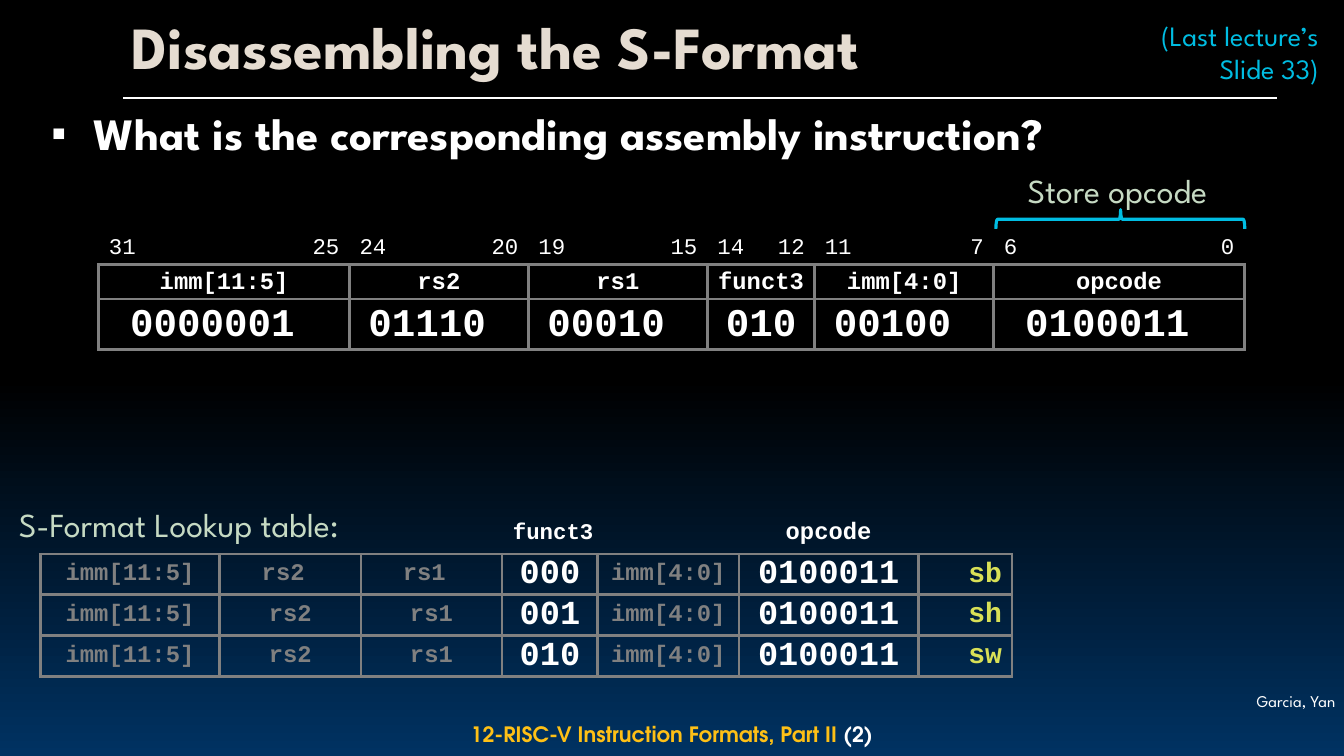
from lxml.etree import SubElement
from pptx import Presentation
from pptx.dml.color import RGBColor
from pptx.enum.shapes import MSO_CONNECTOR, MSO_SHAPE
from pptx.enum.text import MSO_ANCHOR, MSO_AUTO_SIZE, PP_ALIGN
from pptx.oxml.ns import qn
from pptx.util import Pt

SPARTAN = "League Spartan"
COURIER = "Courier New"
WHITE, GRAY, CYAN, SAGE, LIME = "FFFFFF", "808080", "00BDE2", "C6DAC3", "D9E056"
NO_TABLE_STYLE = "{2D5ABB26-0587-4C30-8999-92F81FD0307C}"
LEFT, CENTER, RIGHT = PP_ALIGN.LEFT, PP_ALIGN.CENTER, PP_ALIGN.RIGHT


def write(text_frame, text, size, color, font=SPARTAN, bold=False, align=LEFT, spacing=1.0):
    paragraph = text_frame.paragraphs[0]
    paragraph.text = text
    paragraph.alignment = align
    paragraph.line_spacing = spacing
    paragraph.space_before = Pt(0)
    run_font = paragraph.runs[0].font
    run_font.name = font
    run_font.size = Pt(size)
    run_font.bold = bold
    run_font.color.rgb = RGBColor.from_string(color)


def draw_borders(cell):
    properties = cell._tc.get_or_add_tcPr()
    for side in ("a:lnL", "a:lnR", "a:lnT", "a:lnB"):
        line = SubElement(properties, qn(side), w=str(Pt(2.25)))
        SubElement(SubElement(line, qn("a:solidFill")), qn("a:srgbClr"), val=GRAY)


presentation = Presentation()
presentation.slide_width = Pt(960)
presentation.slide_height = Pt(540)
slide = presentation.slides.add_slide(presentation.slide_layouts[1])

background = slide.background.fill
background.gradient()
background.gradient_angle = 270
for stop, position, color in zip(background.gradient_stops, (0.5, 1), ("000000", "003262")):
    stop.position = position
    stop.color.rgb = RGBColor.from_string(color)

# Title, rule and bullet
title = slide.shapes.title
title.left, title.top, title.width, title.height = Pt(87), Pt(6), Pt(827), Pt(60)
title.text_frame.vertical_anchor = MSO_ANCHOR.MIDDLE
title.text_frame.auto_size = MSO_AUTO_SIZE.NONE
write(title.text_frame, "Disassembling the S-Format", 42.7, "E5DCD1", bold=True, spacing=0.9)

rule = slide.shapes.add_connector(MSO_CONNECTOR.STRAIGHT, Pt(88), Pt(70), Pt(912), Pt(70))
rule.line.color.rgb = RGBColor.from_string(WHITE)
rule.line.width = Pt(1.5)
SubElement(rule._element.spPr, qn("a:effectLst"))

body = slide.placeholders[1]
body.left, body.top, body.width, body.height = Pt(23), Pt(72), Pt(892), Pt(85)
body.text_frame.auto_size = MSO_AUTO_SIZE.NONE
write(body.text_frame, "What is the corresponding assembly instruction?", 32, WHITE, bold=True)
bullet = body.text_frame.paragraphs[0]._p.get_or_add_pPr()
bullet.set("marL", str(Pt(36.7)))
bullet.set("indent", str(Pt(-30.2)))
SubElement(bullet, qn("a:buSzPct"), val="95000")
SubElement(bullet, qn("a:buChar"), char="▪")

# Instruction word: high bit, low bit, field name, value
fields = [
    (31, 25, "imm[11:5]", "0000001 "),
    (24, 20, "rs2", "01110 "),
    (19, 15, "rs1", "00010 "),
    (14, 12, "funct3", "010"),
    (11, 7, "imm[4:0]", "00100 "),
    (6, 0, "opcode", "0100011 "),
]
BIT = 25.58
field_widths = []
for high, low, name, value in fields:
    bits = high - low + 1
    field_widths.append([1.5, 1.5] if bits == 3 else [2] + [1] * (bits - 4) + [2])
column_widths = [width * BIT for widths in field_widths for width in widths]

# Lookup table: rows of (text, size, color, alignment); None leaves a cell empty
lookup_rows = [[None] * 5 + [("opcode", 17, WHITE, CENTER), None]]
for mnemonic, funct3, pad in (("sb", "000", " "), ("sh", "001", ""), ("sw", "010", "")):
    lookup_rows.append([
        ("imm[11:5]", 17, GRAY, CENTER),
        ("rs2" + pad, 17, GRAY, CENTER),
        ("rs1" + pad, 17, GRAY, CENTER),
        (funct3, 24, WHITE, CENTER),
        ("imm[4:0]", 17, GRAY, CENTER),
        ("0100011", 24, WHITE, CENTER),
        (mnemonic, 20, LIME, RIGHT),
    ])

tables = []
for left, top, widths, heights in (
    (70.6, 162.7, column_widths, (26.3, 24.5, 36.3)),
    (28.8, 369.4, (128.2, 100.8, 100.8, 68.4, 100.8, 128.2, 67), (26.4, 29.1, 29.1, 29.1)),
):
    frame = slide.shapes.add_table(
        len(heights), len(widths), Pt(left), Pt(top), Pt(sum(widths)), Pt(sum(heights)))
    table = frame.table
    table._tbl.tblPr.find(qn("a:tableStyleId")).text = NO_TABLE_STYLE
    table.first_row = table.horz_banding = False
    for column, width in zip(table.columns, widths):
        column.width = Pt(width)
    for row, height in zip(table.rows, heights):
        row.height = Pt(height)
    tables.append(table)
word_table, lookup_table = tables

first = 0
for (high, low, name, value), widths in zip(fields, field_widths):
    last = first + len(widths) - 1
    for column, bit, align in ((first, high, LEFT), (last, low, RIGHT)):
        cell = word_table.cell(0, column)
        cell.vertical_anchor = MSO_ANCHOR.BOTTOM
        write(cell.text_frame, str(bit), 16, WHITE, COURIER, align=align, spacing=0.9)
    for row, text, size in ((1, name, 17), (2, value, 28)):
        cell = word_table.cell(row, first)
        cell.merge(word_table.cell(row, last))
        write(cell.text_frame, text, size, WHITE, COURIER, True, CENTER, 0.9)
        draw_borders(cell)
    first = last + 1

for row, entries in enumerate(lookup_rows):
    for column, entry in enumerate(entries):
        cell = lookup_table.cell(row, column)
        if entry:
            text, size, color, align = entry
            write(cell.text_frame, text, size, color, COURIER, True, align, 0.8)
        if row:
            cell.vertical_anchor = MSO_ANCHOR.MIDDLE
            draw_borders(cell)

for table in tables:
    for cell in table.iter_cells():
        cell.fill.background()
        if not cell.text_frame.text:
            cell.margin_top = cell.margin_bottom = 0

# Brace over the opcode field
brace = slide.shapes.add_shape(MSO_SHAPE.LEFT_BRACE, Pt(793.4), Pt(67.7), Pt(13.7), Pt(177.8))
brace.rotation = 90
brace.adjustments[0] = 0.083
brace.adjustments[1] = 0.499
brace.shadow.inherit = False
brace.fill.background()
brace.line.color.rgb = RGBColor.from_string(CYAN)
brace.line.width = Pt(2.25)

# Labels: text, left, top, width, height, wrap, size, color, font, bold, alignment
labels = [
    ("(Last lecture’s Slide 33)", 813.6, 9.4, 135.4, 55.4, True, 20, CYAN, SPARTAN, False, RIGHT),
    ("S-Format Lookup table:", 6.5, 356.4, 247.7, 36, False, 24, SAGE, SPARTAN, False, LEFT),
    ("Store opcode", 697, 118.1, 202.3, 36, True, 24, SAGE, SPARTAN, False, CENTER),
    ("funct3", 359.3, 365.8, 72.7, 26.6, False, 16, WHITE, COURIER, True, LEFT),
    ("Garcia, Yan", 856.1, 491.8, 103.7, 18.7, True, 11.7, WHITE, SPARTAN, False, RIGHT),
    ("12-RISC-V Instruction Formats, Part II ", 176.4, 512.6, 607, 23, True, 15.1, "FEC016",
     "TeX Gyre Adventor", True, CENTER),
]
for text, left, top, width, height, wrap, size, color, font, bold, align in labels:
    box = slide.shapes.add_textbox(Pt(left), Pt(top), Pt(width), Pt(height))
    box.text_frame.word_wrap = wrap
    write(box.text_frame, text, size, color, font, bold, align)
    if text == "Garcia, Yan":
        box.text_frame.margin_left = box.text_frame.margin_right = Pt(5.8)
        box.text_frame.margin_top = box.text_frame.margin_bottom = Pt(2.2)

footer = box
footer.text_frame.vertical_anchor = MSO_ANCHOR.MIDDLE
page = footer.text_frame.paragraphs[0].add_run()
page.text = "(2)"
page.font.name = "TeX Gyre Adventor"
page.font.size = Pt(15.1)
page.font.bold = True
page.font.color.rgb = RGBColor.from_string(WHITE)

presentation.save("out.pptx")
